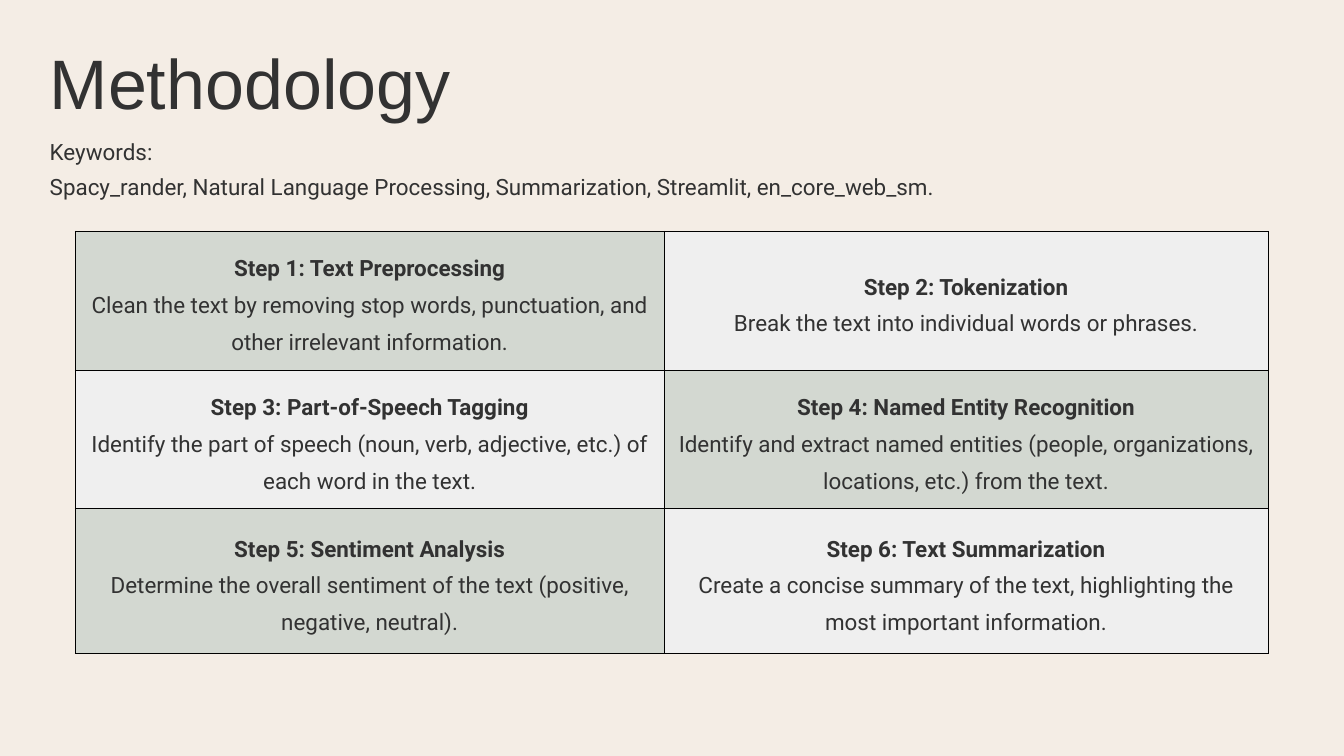
from lxml import etree
from pptx import Presentation
from pptx.dml.color import RGBColor
from pptx.enum import text
from pptx.oxml import ns
from pptx.util import Inches, Pt

INK = "323232"
SAGE = "D3D8D1"
PALE = "EFEFEF"


def paint(fill, color):
    fill.solid()
    fill.fore_color.rgb = RGBColor.from_string(color)


def write(frame, lines, font, size, spacing):
    """Fill the frame with one paragraph per line, all in one style."""
    frame.word_wrap = True
    frame.text = "\n".join(lines)
    for paragraph in frame.paragraphs:
        paragraph.line_spacing = spacing
        for run in paragraph.runs:
            run.font.name = font
            run.font.size = Pt(size)
            paint(run.font.fill, INK)


prs = Presentation()
prs.slide_width = Inches(20)
prs.slide_height = Inches(11.25)
slide = prs.slides.add_slide(prs.slide_layouts[6])
paint(slide.background.fill, "F4EDE5")

# Steps, two to a row
steps = [
    ("Text Preprocessing",
     "Clean the text by removing stop words, punctuation, and other irrelevant information."),
    ("Tokenization",
     "Break the text into individual words or phrases."),
    ("Part-of-Speech Tagging",
     "Identify the part of speech (noun, verb, adjective, etc.) of each word in the text."),
    ("Named Entity Recognition",
     "Identify and extract named entities (people, organizations, locations, etc.) from the text."),
    ("Sentiment Analysis",
     "Determine the overall sentiment of the text (positive, negative, neutral)."),
    ("Text Summarization",
     "Create a concise summary of the text, highlighting the most important information."),
]
widths = [8.76, 8.99]
heights = [2.06, 2.06, 2.15]

step_grid = slide.shapes.add_table(
    len(heights), len(widths), Inches(1.12), Inches(3.44),
    Inches(sum(widths)), Inches(sum(heights))).table
step_grid.first_row = False
step_grid.horz_banding = False
for column, width in zip(step_grid.columns, widths):
    column.width = Inches(width)
for row, height in zip(step_grid.rows, heights):
    row.height = Inches(height)

for index, (name, description) in enumerate(steps):
    row, column = divmod(index, len(widths))
    cell = step_grid.cell(row, column)
    cell.vertical_anchor = text.MSO_ANCHOR.MIDDLE
    cell.margin_left = cell.margin_right = Inches(0.21)
    cell.margin_top = cell.margin_bottom = Inches(0.21)
    write(cell.text_frame, [f"Step {index + 1}: {name}", description], "Roboto", 24, 1.4)
    for paragraph in cell.text_frame.paragraphs:
        paragraph.alignment = text.PP_ALIGN.CENTER
    cell.text_frame.paragraphs[0].runs[0].font.bold = True

    # Borders come before the fill in the cell properties
    properties = cell._tc.get_or_add_tcPr()
    for side in ("lnL", "lnR", "lnT", "lnB"):
        border = etree.SubElement(properties, ns.qn(f"a:{side}"), w=str(Pt(0.75)))
        border_fill = etree.SubElement(border, ns.qn("a:solidFill"))
        etree.SubElement(border_fill, ns.qn("a:srgbClr"), val="000000")
    paint(cell.fill, PALE if (row + column) % 2 else SAGE)

# Title and keywords
keywords = [
    "Keywords:",
    "Spacy_rander, Natural Language Processing, Summarization, Streamlit, en_core_web_sm.",
]
for top, width, height, lines, font, size, spacing in [
    (0.67, 7.8, 1.08, ["Methodology"], "Arial", 75, 0.96),
    (1.93, 15.01, 1.29, keywords, "Roboto", 24, 1.3),
]:
    frame = slide.shapes.add_textbox(
        Inches(0.74), Inches(top), Inches(width), Inches(height)).text_frame
    frame.margin_left = frame.margin_right = 0
    frame.margin_top = frame.margin_bottom = 0
    frame.auto_size = text.MSO_AUTO_SIZE.SHAPE_TO_FIT_TEXT
    write(frame, lines, font, size, spacing)

prs.save("out.pptx")
